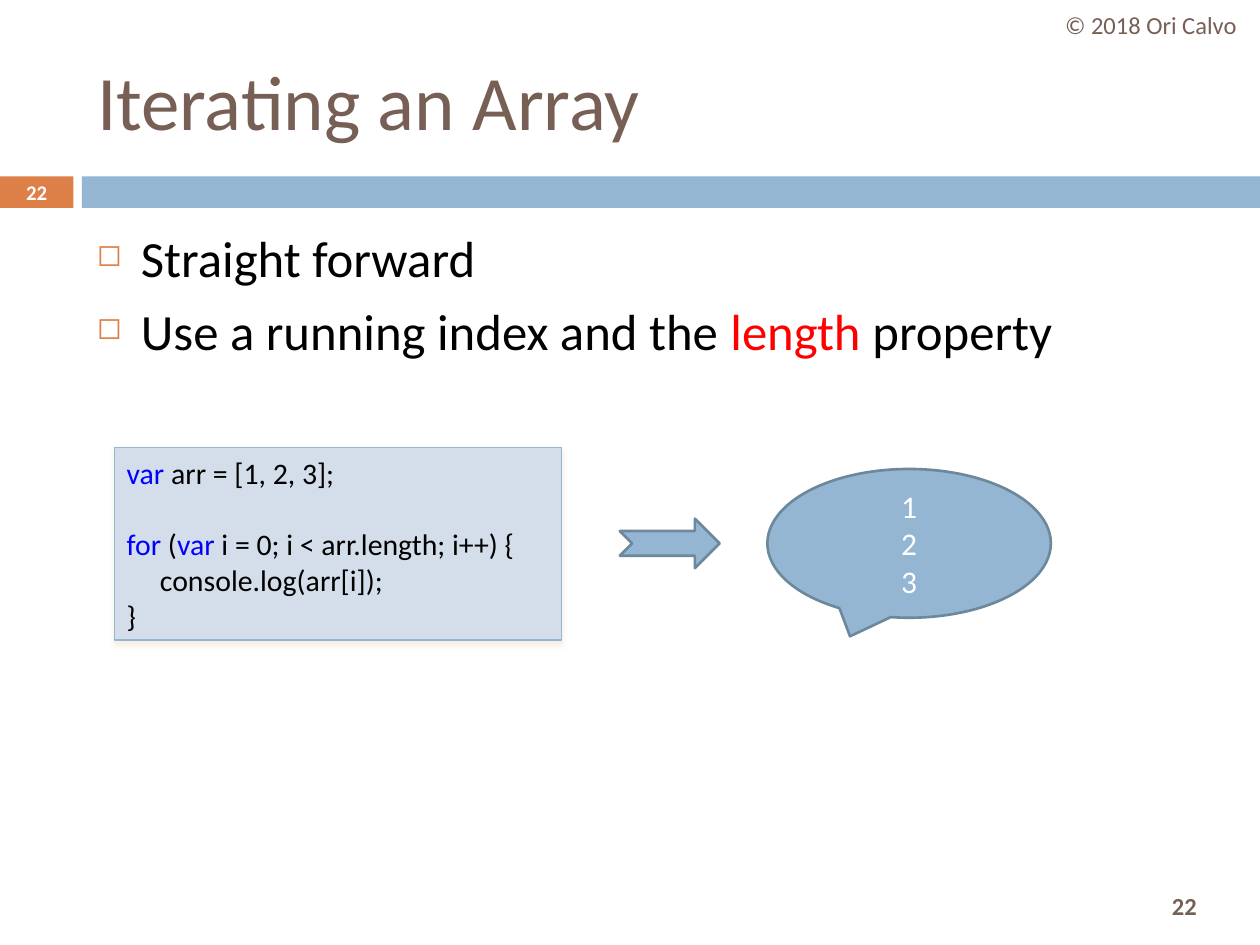
from lxml import etree
from pptx import Presentation
from pptx.dml import color
from pptx.enum import shapes, text
from pptx.oxml import ns
from pptx.util import Pt

BROWN, BLUE, ORANGE, EDGE = "775F55", "94B6D2", "DD8047", "6D879B"
WHITE, BLACK, KEY, RED = "FFFFFF", "000000", "0000FF", "FF0000"
LEFT, MID = text.PP_ALIGN.LEFT, text.PP_ALIGN.CENTER
KIND = shapes.MSO_SHAPE


def rgb(code):
    return color.RGBColor.from_string(code)


def write(shape, lines, size, align=LEFT, bold=False, top=False):
    """Fill a shape with lines, each a list of (words, colour) runs."""
    frame = shape.text_frame
    frame.word_wrap = True
    frame.vertical_anchor = text.MSO_ANCHOR.TOP if top else text.MSO_ANCHOR.MIDDLE
    for n, line in enumerate(lines):
        para = frame.paragraphs[0] if n == 0 else frame.add_paragraph()
        para.alignment = align
        for words, tint in line:
            run = para.add_run()
            run.text = words
            look = {"name": "Calibri", "size": Pt(size), "bold": bold}
            for key, value in look.items():
                setattr(run.font, key, value)
            run.font.color.rgb = rgb(tint)
    return frame.paragraphs


deck = Presentation()
deck.slide_width, deck.slide_height = Pt(720), Pt(540)
slide = deck.slides.add_slide(deck.slide_layouts[5])

# Title
title = slide.shapes.title
for key, value in {"left": 48.24, "top": 18, "width": 642.24, "height": 77.76}.items():
    setattr(title, key, Pt(value))
write(title, [[("Iterating an Array", BROWN)]], 44)

# Bands, code box, arrow and callout
parts = {}
for name, kind, box, fill, line, width in [
    ("tab", KIND.RECTANGLE, (0, 100.8, 42, 18), ORANGE, None, 0),
    ("band", KIND.RECTANGLE, (46.8, 100.8, 673.2, 18), BLUE, None, 0),
    ("code", KIND.RECTANGLE, (65.3, 255.6, 255.6, 110.2), "D3DEEA", BLUE, 0.75),
    ("arrow", KIND.NOTCHED_RIGHT_ARROW, (354.2, 296.4, 57, 28.3), BLUE, EDGE, 1.5),
    ("speech", KIND.OVAL_CALLOUT, (438.5, 268, 162, 85), BLUE, EDGE, 1.5),
]:
    part = slide.shapes.add_shape(kind, *map(Pt, box))
    part.shadow.inherit = False
    part.fill.solid()
    part.fill.fore_color.rgb = rgb(fill)
    if line:
        part.line.color.rgb = rgb(line)
        part.line.width = Pt(width)
    else:
        part.line.fill.background()
    parts[name] = part

# Soft shadow under the code box
effect = parts["code"].element.spPr.find(ns.qn("a:effectLst"))
glow = etree.SubElement(effect, ns.qn("a:outerShdw"), blurRad=str(Pt(3)),
                        dist=str(Pt(2.4)), dir="5400000", rotWithShape="0")
tint = etree.SubElement(glow, ns.qn("a:srgbClr"), val="EBDDC3")
etree.SubElement(tint, ns.qn("a:alpha"), val="45000")

# Code, with the loop set apart and its body indented
code = write(parts["code"], [
    [("var ", KEY), ("arr = [1, 2, 3];", BLACK)],
    [("for", KEY), (" (", BLACK), ("var ", KEY),
     ("i = 0; i < arr.length; i++) {", BLACK)],
    [("console.log(arr[i]);", BLACK)],
    [("}", BLACK)],
], 17)
code[1].space_before = Pt(20.5)
code[2]._p.get_or_add_pPr().set("marL", str(Pt(19)))

# Printed output
write(parts["speech"], [[(digit, WHITE)] for digit in "123"], 18, MID)

# Credit and page numbers
for words, box, size, tint, bold in [
    ("© 2018 Ori Calvo", (595.4, 0, 124.6, 28.8), 14, BROWN, False),
    ("22", (0, 100.1, 42, 19.4), 11.9, WHITE, True),
    ("22", (643.7, 502.6, 66.2, 30.2), 14, BROWN, True),
]:
    label = slide.shapes.add_textbox(*map(Pt, box))
    write(label, [[(words, tint)]], size, MID, bold)

# Bullet points
body = slide.shapes.add_textbox(Pt(48.24), Pt(126), Pt(642.24), Pt(354.24))
points = write(body, [
    [("Straight forward", BLACK)],
    [("Use a running index and the ", BLACK), ("length", RED), (" property", BLACK)],
], 29, top=True)
for point in points:
    point.space_before = Pt(7)
    props = point._p.get_or_add_pPr()
    props.set("marL", str(Pt(25.2)))
    props.set("indent", str(Pt(-25.2)))
    hue = etree.SubElement(props, ns.qn("a:buClr"))
    etree.SubElement(hue, ns.qn("a:srgbClr"), val=ORANGE)
    etree.SubElement(props, ns.qn("a:buSzPct"), val="60000")
    etree.SubElement(props, ns.qn("a:buChar"), char="◻")

deck.save("out.pptx")
